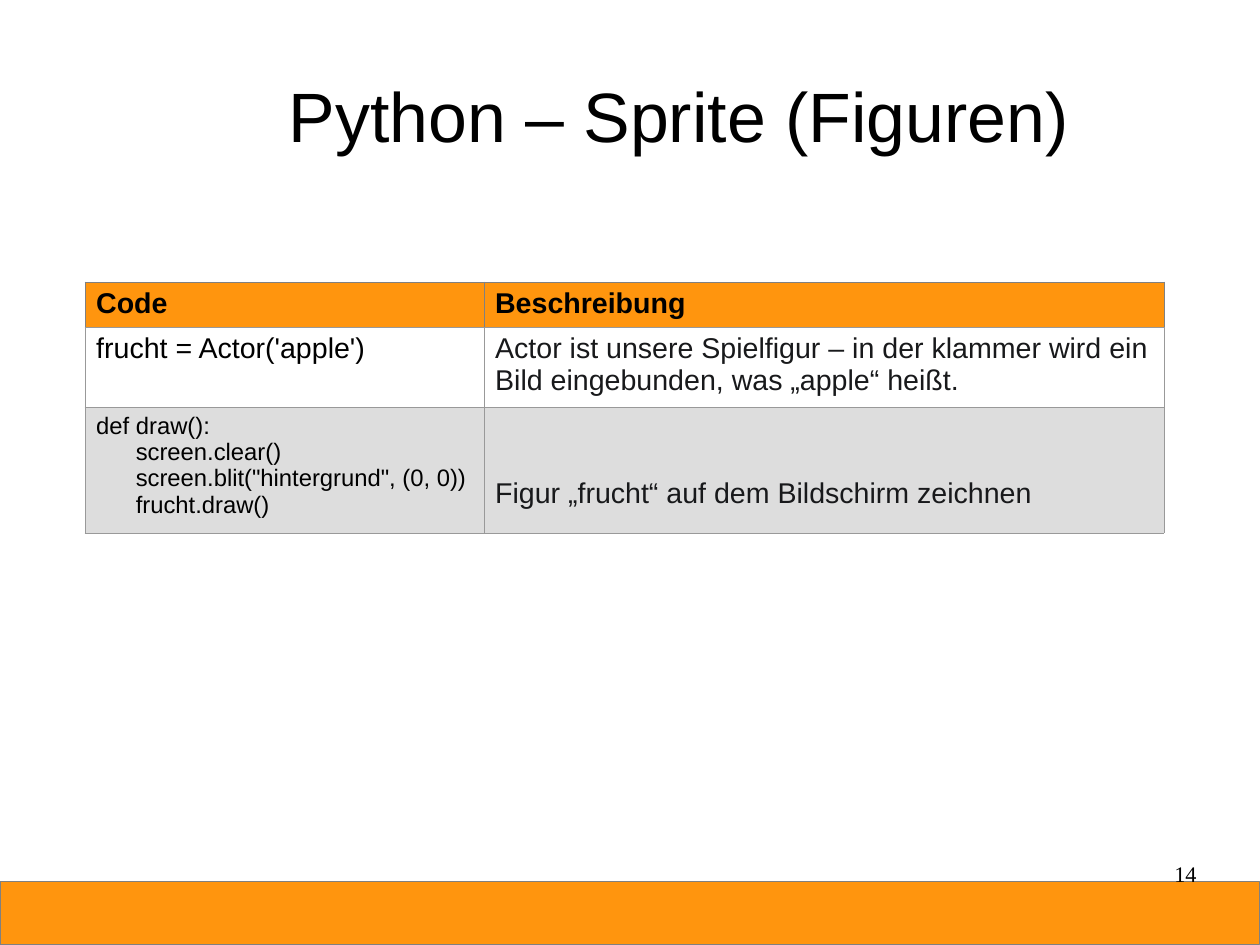
from dataclasses import dataclass

from lxml import etree
from pptx import Presentation
from pptx.dml.color import RGBColor
from pptx.enum import shapes, text
from pptx.oxml import ns
from pptx.util import Pt

SLIDE_WIDTH, SLIDE_HEIGHT = 793.7, 595.28
BAR_TOP, BAR_HEIGHT = 555.3, 39.6
ORANGE, WHITE, GREY = "FF950E", "FFFFFF", "DDDDDD"
BLACK, INK = "000000", "18191B"
HEADER_LINE, BODY_LINE = "808080", "999999"
COLUMN_WIDTHS = (251.3, 428.4)
ROW_HEIGHTS = (28.6, 50.3, 79.3)


@dataclass
class CellText:
    lines: tuple[str, ...]
    fill: str
    color: str = BLACK
    size: float = 18
    bold: bool = False
    anchor: text.MSO_ANCHOR = text.MSO_ANCHOR.TOP
    bottom_margin: float = 3.6


COMMANDS = (
    (CellText(("Code",), ORANGE, bold=True),
     CellText(("Beschreibung",), ORANGE, bold=True)),
    (CellText(("frucht = Actor('apple')",), WHITE),
     CellText(("Actor ist unsere Spielfigur – in der klammer wird ein "
               "Bild eingebunden, was „apple“ heißt.",), WHITE, INK)),
    (CellText(("def draw():",
               "      screen.clear()",
               '      screen.blit("hintergrund", (0, 0))',
               "      frucht.draw()"), GREY, size=15),
     CellText(("Figur „frucht“ auf dem Bildschirm zeichnen",), GREY, INK,
              anchor=text.MSO_ANCHOR.BOTTOM, bottom_margin=14.7)),
)


def paint(target, color: str) -> None:
    """Give a fill a solid colour."""
    target.solid()
    target.fore_color.rgb = RGBColor.from_string(color)


def add_run(paragraph, words: str, size: float, color: str = BLACK,
            font: str = "Arial", bold: bool = False) -> None:
    run = paragraph.add_run()
    run.text = words
    run.font.name = font
    run.font.size = Pt(size)
    run.font.bold = bold
    paint(run.font.fill, color)


def clear_margins(frame) -> None:
    frame.margin_left = frame.margin_right = Pt(0)
    frame.margin_top = frame.margin_bottom = Pt(0)
    frame.word_wrap = True


def set_borders(cell, side_colors: dict[str, str]) -> None:
    properties = cell._tc.get_or_add_tcPr()
    for position, (side, color) in enumerate(side_colors.items()):
        line = etree.Element(ns.qn(f"a:ln{side}"), w=str(Pt(0.06)))
        fill = etree.SubElement(line, ns.qn("a:solidFill"))
        etree.SubElement(fill, ns.qn("a:srgbClr"), val=color)
        properties.insert(position, line)


def fill_cell(cell, content: CellText, is_header: bool) -> None:
    cell.margin_left = cell.margin_right = Pt(7.2)
    cell.margin_top = Pt(3.6)
    cell.margin_bottom = Pt(content.bottom_margin)
    cell.vertical_anchor = content.anchor
    paint(cell.fill, content.fill)
    edge = HEADER_LINE if is_header else BODY_LINE
    set_borders(cell, {"L": edge, "R": edge, "T": edge, "B": BODY_LINE})
    frame = cell.text_frame
    for index, words in enumerate(content.lines):
        paragraph = frame.add_paragraph() if index else frame.paragraphs[0]
        add_run(paragraph, words, content.size, content.color,
                bold=content.bold)


def main() -> None:
    prs = Presentation()
    prs.slide_width, prs.slide_height = Pt(SLIDE_WIDTH), Pt(SLIDE_HEIGHT)
    slide = prs.slides.add_slide(prs.slide_layouts[5])

    # Title
    title = slide.shapes.title
    title.left, title.top = Pt(84.8), Pt(22.3)
    title.width, title.height = Pt(686.2), Pt(99.4)
    clear_margins(title.text_frame)
    title.text_frame.vertical_anchor = text.MSO_ANCHOR.MIDDLE
    heading = title.text_frame.paragraphs[0]
    heading.alignment = text.PP_ALIGN.CENTER
    add_run(heading, "Python – Sprite (Figuren)", 44)

    # Footer bar
    footer_bar = slide.shapes.add_shape(
        shapes.MSO_SHAPE.RECTANGLE, Pt(0), Pt(BAR_TOP),
        Pt(SLIDE_WIDTH), Pt(BAR_HEIGHT))
    footer_bar.shadow.inherit = False
    paint(footer_bar.fill, ORANGE)
    paint(footer_bar.line.fill, HEADER_LINE)
    footer_bar.line.width = Pt(0)

    # Command table
    commands = slide.shapes.add_table(
        len(ROW_HEIGHTS), len(COLUMN_WIDTHS), Pt(53.4), Pt(177.4),
        Pt(sum(COLUMN_WIDTHS)), Pt(sum(ROW_HEIGHTS))).table
    commands.horz_banding = False
    for column, width in zip(commands.columns, COLUMN_WIDTHS):
        column.width = Pt(width)
    for row_index, contents in enumerate(COMMANDS):
        commands.rows[row_index].height = Pt(ROW_HEIGHTS[row_index])
        for column_index, content in enumerate(contents):
            fill_cell(commands.cell(row_index, column_index), content,
                      is_header=row_index == 0)

    # Page number
    page_number = slide.shapes.add_textbox(
        Pt(568.8), Pt(542.2), Pt(185), Pt(41)).text_frame
    clear_margins(page_number)
    page_number.paragraphs[0].alignment = text.PP_ALIGN.RIGHT
    add_run(page_number.paragraphs[0], "14", 14, font="Times New Roman")

    prs.save("out.pptx")


if __name__ == "__main__":
    main()
